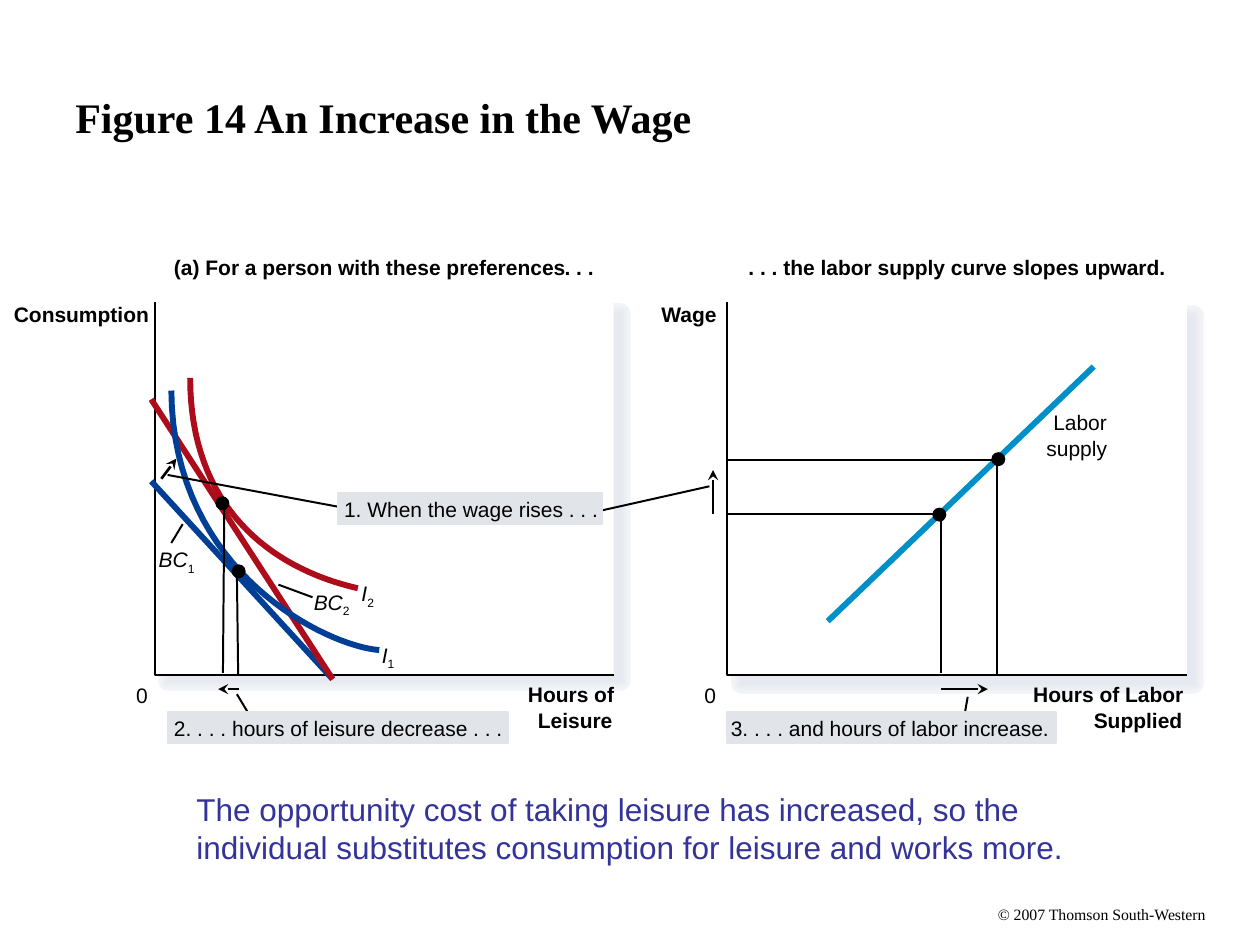
from typing import NamedTuple

from lxml.etree import SubElement
from pptx import Presentation
from pptx.dml.color import RGBColor
from pptx.enum.shapes import MSO_CONNECTOR, MSO_SHAPE
from pptx.enum.text import MSO_ANCHOR
from pptx.oxml.ns import qn
from pptx.util import Pt

BLACK = RGBColor(0x00, 0x00, 0x00)
WHITE = RGBColor(0xFF, 0xFF, 0xFF)
BLUE = RGBColor(0x00, 0x3F, 0x95)
RED = RGBColor(0xAD, 0x0D, 0x1B)
CYAN = RGBColor(0x00, 0x90, 0xC7)
GREY = RGBColor(0xE1, 0xE5, 0xE9)
INDIGO = RGBColor(0x33, 0x33, 0x99)
SHADES = [RGBColor.from_string(code) for code in (
    "F3F6F9 F2F4F8 F1F4F7 F0F2F5 EEF1F4 EDEFF3 EBEEF2 EAECF1 E9EBF0 E7EAEF E6E9EF"
).split()]

THIN, THICK, ARROW = 1.12, 3.37, 1.5
TOP, BASE = 172.8, 385.9

Point = tuple[float, float]


class Box(NamedTuple):
    x: float
    y: float
    w: float
    h: float


class Panel(NamedTuple):
    plot: Box
    shade: Box


class Label(NamedTuple):
    text: str
    box: Box
    bold: bool = False
    sub: str = ""


class Line(NamedTuple):
    start: Point
    end: Point
    color: RGBColor = BLACK
    width: float = THIN
    arrow: bool = False


class Curve(NamedTuple):
    points: tuple[Point, Point, Point, Point]
    color: RGBColor


PANELS = [
    Panel(Box(88.6, TOP, 262, BASE - TOP), Box(96.5, 179.3, 257.8, 209.5)),
    Panel(Box(415.4, TOP, 262.8, BASE - TOP), Box(424.1, 180.7, 257.8, 209.5)),
]

BUDGETS = [
    Line((86.4, 275), (190.1, 388.1), BLUE, THICK),
    Line((190.1, 388.1), (86.4, 228.2), RED, THICK),
]

ARROWS = [
    Line((136.8, 393.8), (124.6, 393.8), BLACK, ARROW, True),
    Line((537.8, 393.8), (564.5, 393.8), BLACK, ARROW, True),
    Line((92.2, 273.6), (100.8, 262.1), BLACK, ARROW, True),
    Line((407.5, 293.8), (407.5, 268.6), BLACK, ARROW, True),
]

CURVES = [
    Curve(((97.9, 223.2), (98.6, 328.3), (187.9, 369.4), (216.7, 371.5)), BLUE),
    Curve(((108.7, 216), (108.7, 289.4), (154.1, 324.7), (204.5, 336.2)), RED),
]

LEADERS = [
    Line((178.6, 341.3), (159.1, 334.1)),
    Line((104.4, 299.5), (97.9, 310.3)),
    Line((135.4, 396.7), (145.4, 413.3)),
    Line((553, 398.2), (550.1, 414.7)),
    Line((196.6, 290.2), (95.8, 271.4)),
    Line((344.2, 291.6), (405.4, 277.9)),
]

LABELS = [
    Label("Hours of", Box(301.7, 389.5, 56, 16.6), True),
    Label("Leisure", Box(307.4, 404.6, 50, 16.6), True),
    Label("0", Box(77.8, 390.2, 12, 16.6)),
    Label("Consumption", Box(7.9, 172.1, 84, 16.6), True),
    Label("(a) For a person with these preferences", Box(99.4, 145.4, 234, 16.6), True),
    Label(". . .", Box(322.6, 145.4, 24, 16.6), True),
    Label("Hours of Labor", Box(590.4, 389.5, 93, 16.6), True),
    Label("Supplied", Box(625, 404.6, 57, 16.6), True),
    Label("0", Box(402.5, 390.2, 12, 16.6)),
    Label("Wage", Box(378, 172.1, 39, 16.6), True),
    Label(". . . the labor supply curve slopes upward.", Box(427.7, 145.4, 246, 16.6), True),
    Label("I", Box(218.2, 367.2, 14, 14.4), sub="1"),
    Label("I", Box(206.6, 331.9, 14, 14.4), sub="2"),
    Label("BC", Box(179.3, 337, 26, 14.4), sub="2"),
    Label("BC", Box(90.7, 312.5, 26, 14.4), sub="1"),
    Label("Labor", Box(601.9, 234, 36, 16.6)),
    Label("supply", Box(598, 249.1, 42, 16.6)),
]

NOTES = [
    (Box(95.8, 406.8, 194.4, 18),
     Label("2. . . . hours of leisure decrease . . .", Box(99.4, 409, 194, 14.4))),
    (Box(415.4, 406.8, 187.9, 18),
     Label("3. . . . and hours of labor increase.", Box(417.6, 409, 182.2, 14.4))),
    (Box(193, 281.5, 151.2, 18),
     Label("1. When the wage rises . . .", Box(196.6, 283.7, 151, 14.4))),
]

DROPS = [
    Line((127.4, 384.5), (128.2, 288)),
    Line((135.4, 329), (136.1, BASE)),
]
GUIDES = [
    [(416.2, 293.8), (537.8, 293.8), (537.8, 384.5)],
    [(416.2, 262.8), (569.5, 262.8), (569.5, BASE)],
]
DOTS = [(127.1, 287.6), (136.4, 326.5), (536.8, 294.1), (570.5, 262.4)]


def put_box(shapes, box: Box, fill: RGBColor, width: float = 0,
            kind: MSO_SHAPE = MSO_SHAPE.RECTANGLE) -> None:
    shape = shapes.add_shape(kind, *map(Pt, box))
    shape.shadow.inherit = False
    shape.fill.solid()
    shape.fill.fore_color.rgb = fill
    if width:
        shape.line.color.rgb = fill
        shape.line.width = Pt(width)
    else:
        shape.line.fill.background()


def put_path(shapes, points: list[Point], color: RGBColor, width: float) -> None:
    spots = [(Pt(x), Pt(y)) for x, y in points]
    pen = shapes.build_freeform(*spots[0])
    pen.add_line_segments(spots[1:], close=False)
    shape = pen.convert_to_shape()
    shape.shadow.inherit = False
    shape.fill.background()
    shape.line.color.rgb = color
    shape.line.width = Pt(width)


def put_curve(shapes, curve: Curve, steps: int = 32) -> None:
    def spot(t: float) -> Point:
        rates = ((1 - t) ** 3, 3 * t * (1 - t) ** 2, 3 * t * t * (1 - t), t ** 3)
        return tuple(sum(r * p[axis] for r, p in zip(rates, curve.points))
                     for axis in (0, 1))

    put_path(shapes, [spot(n / steps) for n in range(steps + 1)], curve.color, THICK)


def put_line(shapes, line: Line) -> None:
    ends = map(Pt, (*line.start, *line.end))
    shape = shapes.add_connector(MSO_CONNECTOR.STRAIGHT, *ends)
    shape.line.color.rgb = line.color
    shape.line.width = Pt(line.width)
    if line.arrow:
        SubElement(shape.line._get_or_add_ln(), qn("a:tailEnd"), type="stealth")
    SubElement(shape._element.spPr, qn("a:effectLst"))


def put_text(shapes, label: Label, size: float = 12, color: RGBColor = BLACK,
             face: str = "Arial", pad: tuple[float, float] = (0, 0),
             anchor: MSO_ANCHOR = MSO_ANCHOR.TOP) -> None:
    frame = shapes.add_textbox(*map(Pt, label.box)).text_frame
    frame.word_wrap = True
    frame.vertical_anchor = anchor
    frame.margin_left = frame.margin_right = Pt(pad[0])
    frame.margin_top = frame.margin_bottom = Pt(pad[1])
    frame.text = label.text
    para = frame.paragraphs[0]
    if label.sub:
        para.runs[0].font.italic = True
        run = para.add_run()
        run.text = label.sub
        run.font._element.set("baseline", "-25000")
    for run in para.runs:
        run.font.name = face
        run.font.size = Pt(size)
        run.font.bold = label.bold
        run.font.color.rgb = color


def main() -> None:
    deck = Presentation()
    deck.slide_width, deck.slide_height = Pt(720), Pt(540)
    shapes = deck.slides.add_slide(deck.slide_layouts[6]).shapes

    put_text(shapes, Label("© 2007 Thomson South-Western", Box(570.2, 517, 124, 10.8)),
             9, face="Times New Roman")
    put_text(shapes, Label("Figure 14 An Increase in the Wage", Box(36, 21.6, 648, 90), True),
             24, face="Times New Roman", pad=(7.2, 3.6), anchor=MSO_ANCHOR.MIDDLE)

    for panel in PANELS:
        for step, shade in enumerate(SHADES):
            put_box(shapes, panel.shade, shade, round(THIN * (len(SHADES) - step), 2))
    for panel in PANELS:
        x, y, w, h = panel.plot
        put_box(shapes, panel.plot, WHITE)
        put_path(shapes, [(x, y), (x, y + h), (x + w, y + h)], BLACK, THIN)

    for line in BUDGETS + ARROWS:
        put_line(shapes, line)
    for curve in CURVES:
        put_curve(shapes, curve)
    for line in LEADERS:
        put_line(shapes, line)
    for box, label in NOTES:
        put_box(shapes, box, GREY, THIN)
        put_text(shapes, label)

    put_line(shapes, Line((625, 209.5), (473, 355), CYAN, THICK))
    for label in LABELS:
        put_text(shapes, label)
    for line in DROPS:
        put_line(shapes, line)
    for guide in GUIDES:
        put_path(shapes, guide, BLACK, THIN)
    for x, y in DOTS:
        put_box(shapes, Box(x - 4, y - 4, 8, 8), BLACK, kind=MSO_SHAPE.OVAL)

    closing = ("The opportunity cost of taking leisure has increased, so the "
               "individual substitutes consumption for leisure and works more.")
    put_text(shapes, Label(closing, Box(105.1, 447.8, 560.9, 50.4)), 18, INDIGO, pad=(7.2, 3.6))
    deck.save("out.pptx")


if __name__ == "__main__":
    main()
